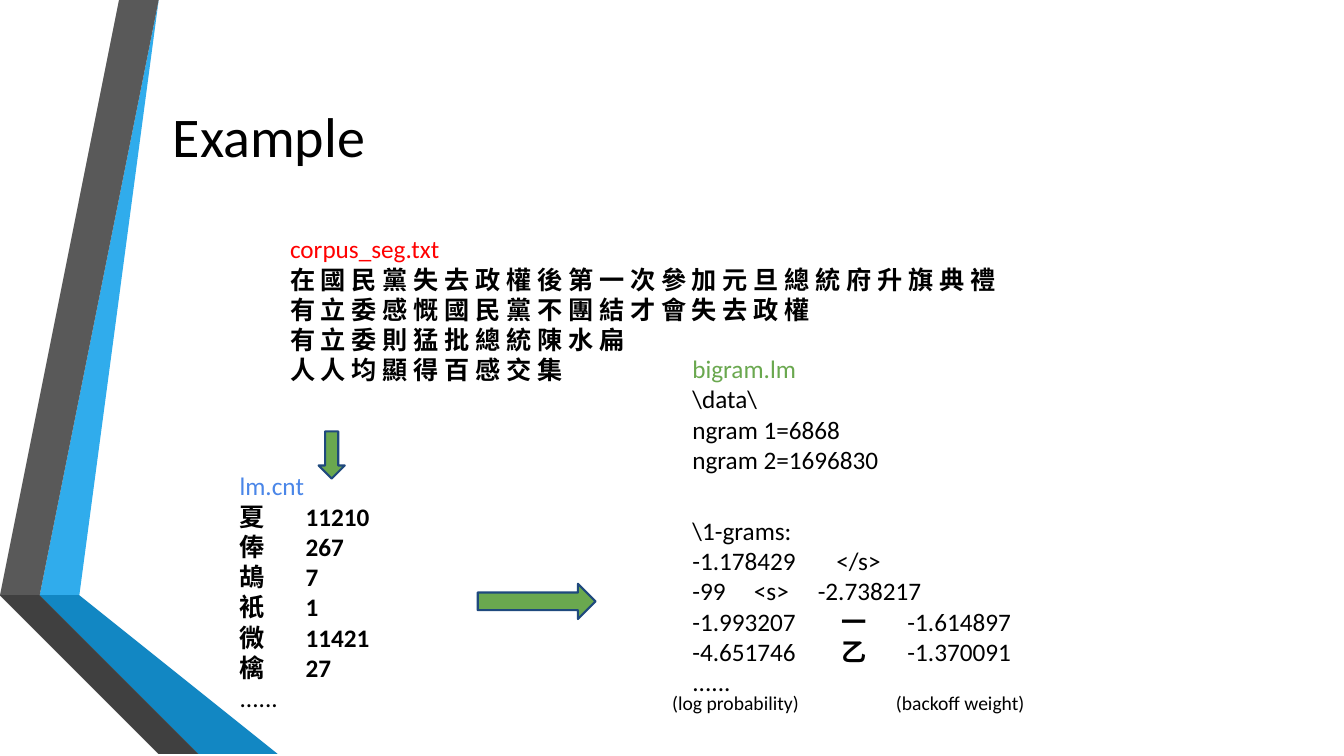
from dataclasses import dataclass

from lxml import etree
from pptx import Presentation
from pptx.dml.color import RGBColor
from pptx.enum.shapes import MSO_SHAPE
from pptx.enum.text import MSO_ANCHOR
from pptx.oxml.ns import qn
from pptx.util import Cm, Pt

DOWN_ARROW = MSO_SHAPE.DOWN_ARROW
RIGHT_ARROW = MSO_SHAPE.RIGHT_ARROW
MIDDLE = MSO_ANCHOR.MIDDLE


@dataclass(frozen=True)
class Theme:
    text_font: str = "Calibri"
    chinese_font: str = "DejaVu Sans"
    title_size: int = 40
    body_size: int = 18
    label_size: int = 14
    black: str = "000000"
    red: str = "FF0000"
    blue: str = "4A86E8"
    green: str = "6AA84F"
    outline: str = "1F497D"


THEME = Theme()

# Ribbon facets: colour and corners in centimetres
RIBBON = [
    ("30ACEC", [(1.27, 14.68), (1.96, 14.81), (4.39, 0), (3.68, 0)]),
    ("595959", [(3.53, 0), (2.82, 0), (0.41, 14.55), (1.12, 14.66)]),
    ("262626", [(0.41, 14.55), (3.68, 19.05), (3.84, 19.05)]),
    ("0C5A82", [(1.27, 14.71), (5.28, 19.05), (5.44, 19.05)]),
    ("1287C3", [(1.27, 14.71), (5.44, 19.05), (7.19, 19.05), (1.96, 14.81), (1.27, 14.68)]),
    ("404040", [(5.13, 19.05), (1.22, 14.81), (1.12, 14.66), (0.41, 14.55), (3.84, 19.05)]),
]

SENTENCES = [
    "在 國 民 黨 失 去 政 權 後 第 一 次 參 加 元 旦 總 統 府 升 旗 典 禮",
    "有 立 委 感 慨 國 民 黨 不 團 結 才 會 失 去 政 權",
    "有 立 委 則 猛 批 總 統 陳 水 扁",
    "人 人 均 顯 得 百 感 交 集",
]
COUNTS = [("夏", 11210), ("俸", 267), ("鴣", 7), ("衹", 1), ("微", 11421), ("檎", 27)]
COUNT_TAB = 1.66
UNIGRAMS = [("-1.993207", "一", "-1.614897"), ("-4.651746", "乙", "-1.370091")]
UNIGRAM_TABS = (3.76, 5.42)


def add_facet(page, colour, corners):
    builder = page.shapes.build_freeform(*corners[0], scale=Cm(1))
    builder.add_line_segments(corners[1:], close=True)
    facet = builder.convert_to_shape()
    facet.shadow.inherit = False
    facet.fill.solid()
    facet.fill.fore_color.rgb = RGBColor.from_string(colour)
    facet.line.fill.background()


def add_arrow(page, preset, left, top, width, height):
    arrow = page.shapes.add_shape(preset, Cm(left), Cm(top), Cm(width), Cm(height))
    arrow.shadow.inherit = False
    arrow.fill.solid()
    arrow.fill.fore_color.rgb = RGBColor.from_string(THEME.green)
    arrow.line.color.rgb = RGBColor.from_string(THEME.outline)
    arrow.line.width = Pt(1.5)


def add_box(page, left, top, width, height, inset=0.25):
    box = page.shapes.add_textbox(Cm(left), Cm(top), Cm(width), Cm(height))
    frame = box.text_frame
    frame.word_wrap = True
    frame.margin_left = frame.margin_right = Cm(0.25)
    frame.margin_top = frame.margin_bottom = Cm(inset)
    return frame


def set_tabs(para, stops):
    """Add left tab stops, in centimetres, ahead of the paragraph's font."""
    properties = para._p.get_or_add_pPr()
    tabs = etree.Element(qn("a:tabLst"))
    for stop in stops:
        etree.SubElement(tabs, qn("a:tab"), pos=str(Cm(stop)), algn="l")
    properties.insert(0, tabs)


def add_line(frame, *texts, colour=THEME.black, size=THEME.body_size,
             font=THEME.text_font, bold=False, tabs=()):
    """Add one paragraph; several texts are parted by tabs."""
    first = frame.paragraphs[0]
    para = frame.add_paragraph() if first.runs else first
    if tabs:
        set_tabs(para, tabs)
    para.font.size = Pt(size)
    para.font.color.rgb = RGBColor.from_string(colour)
    para.font.bold = bold
    para.font.name = font
    for index, text in enumerate(texts):
        span = para.add_run()
        span.text = "\t" + text if index else text
    return para


def mark_chinese(span):
    span.font.name = THEME.chinese_font
    span.font.bold = True


def add_corpus(page):
    frame = add_box(page, 7.06, 5.64, 22.86, 4.37)
    add_line(frame, "corpus_seg.txt", colour=THEME.red)
    for sentence in SENTENCES:
        add_line(frame, sentence, font=THEME.chinese_font, bold=True)


def add_counts(page):
    frame = add_box(page, 5.79, 11.61, 6.4, 6.68)
    add_line(frame, "lm.cnt", colour=THEME.blue)
    for character, count in COUNTS:
        para = add_line(frame, character, str(count), bold=True, tabs=[COUNT_TAB])
        mark_chinese(para.runs[0])
    add_line(frame, "......")


def add_bigram(page):
    frame = add_box(page, 17.2, 8.66, 13.97, 9.25)
    add_line(frame, "bigram.lm", colour=THEME.green)
    for text in ("\\data\\", "ngram 1=6868", "ngram 2=1696830"):
        add_line(frame, text)
    add_line(frame, "\\1-grams:").space_before = Pt(29)
    add_line(frame, "-1.178429", "</s>", tabs=[3.63])
    add_line(frame, "-99", "<s>", "-2.738217", tabs=[1.55, 3.16])
    for row in UNIGRAMS:
        para = add_line(frame, *row, tabs=UNIGRAM_TABS)
        mark_chinese(para.runs[1])
    add_line(frame, "......")


def main():
    deck = Presentation()
    deck.slide_width, deck.slide_height = Cm(33.87), Cm(19.05)
    page = deck.slides.add_slide(deck.slide_layouts[6])

    # Ribbon at the left edge
    for colour, corners in RIBBON:
        add_facet(page, colour, corners)

    # Title
    title = add_box(page, 4.11, 1.91, 27.84, 3, inset=0.13)
    title.vertical_anchor = MIDDLE
    add_line(title, "Example", size=THEME.title_size)

    # The three files and the steps between them
    add_corpus(page)
    add_counts(page)
    add_bigram(page)
    add_arrow(page, DOWN_ARROW, 8.03, 10.87, 0.66, 1.19)
    add_arrow(page, RIGHT_ARROW, 12.04, 14.71, 2.97, 0.89)

    # Labels under the bigram columns
    for text, left, width in (("(log probability)", 16.69, 4.01),
                              ("(backoff weight)", 22.33, 4.24)):
        label = add_box(page, left, 17.17, width, 1.12)
        add_line(label, text, size=THEME.label_size)

    deck.save("out.pptx")


if __name__ == "__main__":
    main()
